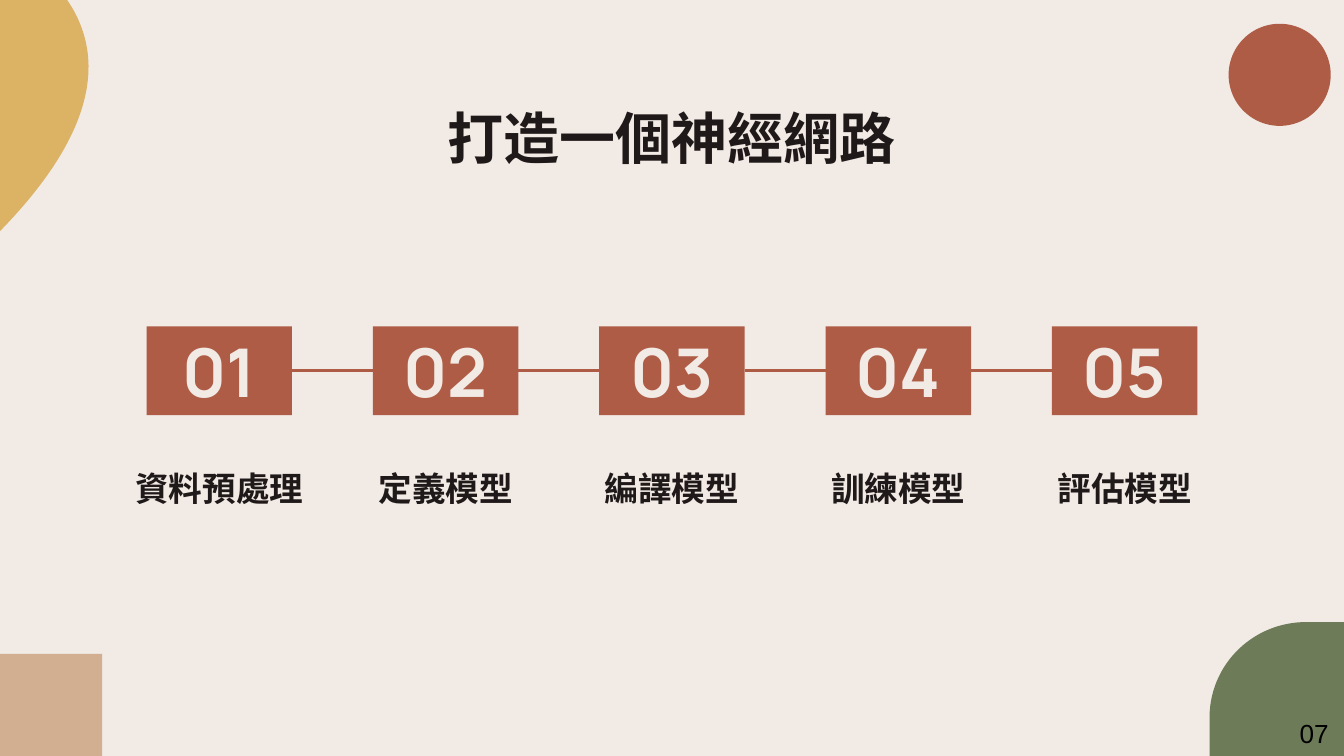
from itertools import pairwise

from lxml import etree
from pptx import Presentation
from pptx.dml.color import RGBColor
from pptx.enum.shapes import MSO_CONNECTOR, MSO_SHAPE
from pptx.enum.text import MSO_ANCHOR, PP_ALIGN
from pptx.oxml.ns import qn
from pptx.util import Cm, Pt

RECTANGLE, OVAL = MSO_SHAPE.RECTANGLE, MSO_SHAPE.OVAL
STRAIGHT = MSO_CONNECTOR.STRAIGHT
TOP, MIDDLE, BOTTOM = MSO_ANCHOR.TOP, MSO_ANCHOR.MIDDLE, MSO_ANCHOR.BOTTOM
LEFT, CENTER = PP_ALIGN.LEFT, PP_ALIGN.CENTER
LEFT_SITE, RIGHT_SITE = 1, 3

COLORS = {
    "cream": "F1EAE5",
    "ink": "1F191A",
    "rust": "AF5C46",
    "green": "6E7B59",
    "tan": "D3AF92",
    "gold": "DCB364",
    "black": "000000",
}
HEADING_FONT = "Manrope"
PAGE_FONT = "Arial"
STEPS = ["資料預處理", "定義模型", "編譯模型", "訓練模型", "評估模型"]


def color(name):
    return RGBColor.from_string(COLORS[name])


def paint(shape, fill):
    shape.shadow.inherit = False
    shape.fill.solid()
    shape.fill.fore_color.rgb = color(fill)
    shape.line.fill.background()


def add_block(slide, kind, box, fill):
    block = slide.shapes.add_shape(kind, *map(Cm, box))
    paint(block, fill)
    return block


def write(shape, text, size, ink, anchor, align=CENTER, font=HEADING_FONT,
          bold=True, inset=0.25, wrap=True):
    frame = shape.text_frame
    frame.word_wrap = wrap
    frame.vertical_anchor = anchor
    frame.margin_left = frame.margin_right = Cm(0.25)
    frame.margin_top = frame.margin_bottom = Cm(inset)
    paragraph = frame.paragraphs[0]
    paragraph.alignment = align
    run = paragraph.add_run()
    run.text = text
    run.font.size = Pt(size)
    run.font.name = font
    run.font.bold = bold
    run.font.color.rgb = color(ink)


def curve_points(start, pull, push, end, count=60):
    for step in range(count + 1):
        t = step / count
        weights = ((1 - t) ** 3, 3 * t * (1 - t) ** 2, 3 * t**2 * (1 - t), t**3)
        yield tuple(
            sum(weight * value for weight, value in zip(weights, axis))
            for axis in zip(start, pull, push, end)
        )


def add_curved_corner(slide, origin, curve, corners, fill):
    left, top = origin
    outline = [
        (Cm(left + x), Cm(top + y)) for x, y in [*curve_points(*curve), *corners]
    ]
    builder = slide.shapes.build_freeform(*outline[0], scale=1.0)
    builder.add_line_segments(outline[1:], close=True)
    paint(builder.convert_to_shape(), fill)


def add_decoration(slide, box):
    left, top, width, height = box
    right, bottom = left + width, top + height
    side = 1.93
    reach, drop = 2.54, 2.53
    add_curved_corner(
        slide, (right - reach, bottom - drop),
        [(1.83, 0), (0.81, 0), (0, 0.81), (0, 1.81)],
        [(0, drop), (reach, drop), (reach, 0)], "green",
    )
    add_block(slide, RECTANGLE, (left, bottom - side, side, side), "tan")
    add_block(slide, OVAL, (right - 2.18, top + 0.45, side, side), "rust")
    add_curved_corner(
        slide, (left, top),
        [(1.27, 0), (2.24, 1.42), (1.32, 3.02), (0, 4.37)],
        [(0, 0)], "gold",
    )


def add_title(slide, box):
    title = slide.shapes.add_textbox(*map(Cm, box))
    write(title, "打造一個神經網路", 30, "ink", TOP)


def add_link(slide, before, after):
    link = slide.shapes.add_connector(STRAIGHT, 0, 0, 0, 0)
    link.begin_connect(before, RIGHT_SITE)
    link.end_connect(after, LEFT_SITE)
    link.line.color.rgb = color("rust")
    link.line.width = Pt(1.5)
    etree.SubElement(link._element.spPr, qn("a:effectLst"))


def add_timeline(slide, box):
    left, top, width, height = box
    card_width, card_height = 2.75, 1.68
    label_width, label_height = 3.79, 1.19
    pitch = (width - card_width) / (len(STEPS) - 1)
    cards = []
    for index, step in enumerate(STEPS):
        card_left = left + index * pitch
        card = add_block(
            slide, RECTANGLE, (card_left, top, card_width, card_height), "rust"
        )
        write(card, f"{index + 1:02}", 36, "cream", MIDDLE)
        cards.append(card)
        label_left = card_left + (card_width - label_width) / 2
        label_top = top + height - label_height
        label = slide.shapes.add_textbox(
            *map(Cm, (label_left, label_top, label_width, label_height))
        )
        write(label, step, 18, "ink", BOTTOM)
    for before, after in pairwise(cards):
        add_link(slide, before, after)


def add_page_number(slide, box):
    number = slide.shapes.add_textbox(*map(Cm, box))
    write(number, "07", 14, "black", TOP, LEFT, PAGE_FONT, False, 0.13, False)


def main():
    deck = Presentation()
    deck.slide_width, deck.slide_height = Cm(25.4), Cm(14.29)
    slide = deck.slides.add_slide(deck.slide_layouts[6])
    slide.background.fill.solid()
    slide.background.fill.fore_color.rgb = color("cream")
    add_decoration(slide, (0, 0, 25.4, 14.29))
    add_title(slide, (2, 1.7, 21.4, 1.32))
    add_timeline(slide, (2.77, 6.17, 19.86, 3.68))
    add_page_number(slide, (24.31, 13.44, 1.09, 0.85))
    deck.save("out.pptx")


if __name__ == "__main__":
    main()
